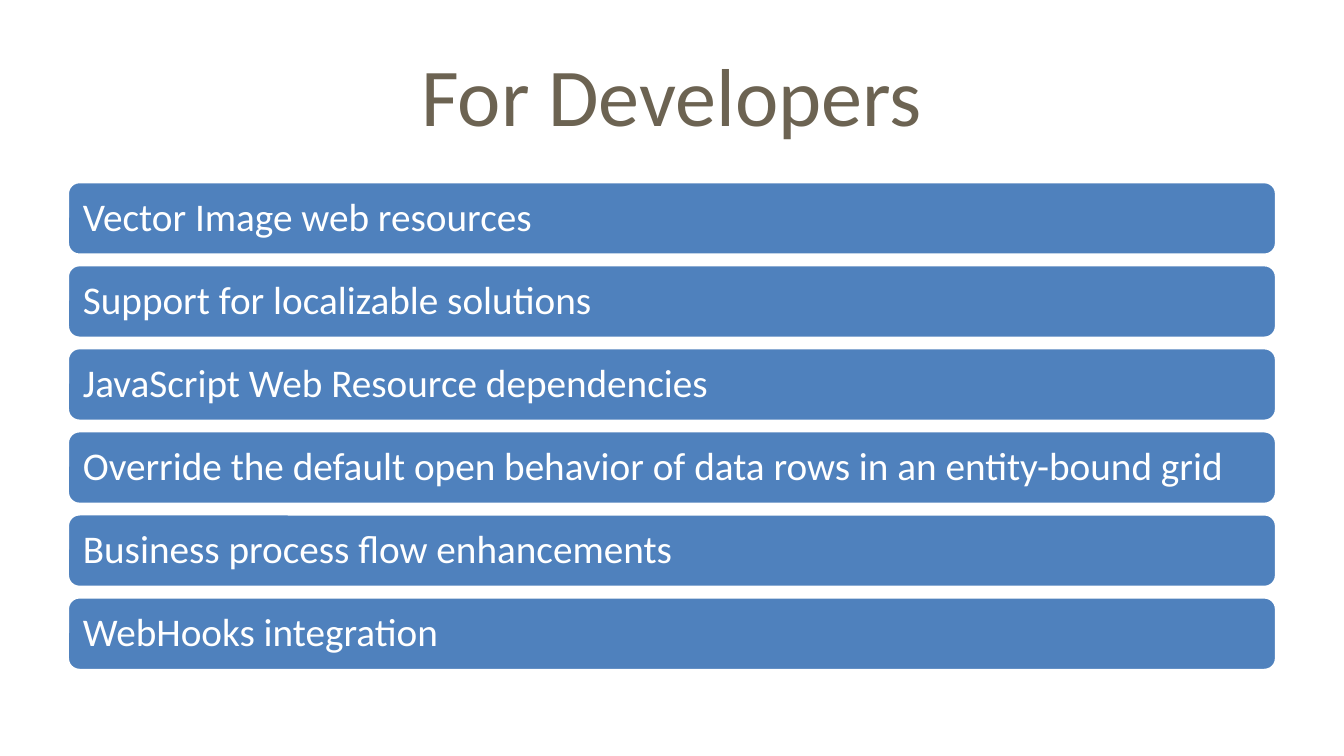
from dataclasses import dataclass

from pptx import Presentation
from pptx.dml.color import RGBColor
from pptx.enum.shapes import MSO_SHAPE as Shape
from pptx.enum.text import MSO_ANCHOR as Anchor, PP_ALIGN as Align
from pptx.slide import Slide
from pptx.text.text import TextFrame
from pptx.util import Inches, Pt


@dataclass(frozen=True)
class Theme:
    font: str = "Calibri"
    title_color: RGBColor = RGBColor(0x6C, 0x63, 0x52)
    bar_color: RGBColor = RGBColor(0x4F, 0x81, 0xBD)
    white: RGBColor = RGBColor(0xFF, 0xFF, 0xFF)
    title_size: int = 44
    bar_size: int = 21
    outline: int = 2


@dataclass(frozen=True)
class TopicBar:
    text: str
    top: float


THEME = Theme()
SLIDE_WIDTH = 10
LEFT, WIDTH, BAR_HEIGHT = 0.5, 9, 0.55
FIRST_TOP, LAST_TOP = 1.35, 4.44
BAR_INSET = 0.09
TOPICS = (
    "Vector Image web resources",
    "Support for localizable solutions",
    "JavaScript Web Resource dependencies",
    "Override the default open behavior of data rows in an entity-bound grid",
    "Business process flow enhancements",
    "WebHooks integration",
)


def write_text(frame: TextFrame, text: str, *, size: int, color: RGBColor,
               align: Align, line_spacing: float = 1.0) -> None:
    frame.text = text
    frame.word_wrap = True
    frame.vertical_anchor = Anchor.MIDDLE
    paragraph = frame.paragraphs[0]
    paragraph.alignment = align
    paragraph.line_spacing = line_spacing
    font = paragraph.runs[0].font
    font.name = THEME.font
    font.size = Pt(size)
    font.color.rgb = color


def add_title(slide: Slide, text: str) -> None:
    title = slide.shapes.title
    title.left, title.top = Inches(LEFT), Inches(0.23)
    title.width, title.height = Inches(WIDTH), Inches(0.94)
    write_text(title.text_frame, text, size=THEME.title_size,
               color=THEME.title_color, align=Align.CENTER)


def add_topic_bar(slide: Slide, bar: TopicBar) -> None:
    shape = slide.shapes.add_shape(
        Shape.ROUNDED_RECTANGLE, Inches(LEFT), Inches(bar.top),
        Inches(WIDTH), Inches(BAR_HEIGHT))
    shape.shadow.inherit = False
    shape.fill.solid()
    shape.fill.fore_color.rgb = THEME.bar_color
    shape.line.color.rgb = THEME.white
    shape.line.width = Pt(THEME.outline)
    frame = shape.text_frame
    frame.margin_left = frame.margin_right = Inches(BAR_INSET)
    frame.margin_top = frame.margin_bottom = Inches(BAR_INSET)
    write_text(frame, bar.text, size=THEME.bar_size, color=THEME.white,
               align=Align.LEFT, line_spacing=0.9)


def main() -> None:
    presentation = Presentation()
    presentation.slide_width = Inches(SLIDE_WIDTH)
    presentation.slide_height = Inches(SLIDE_WIDTH * 9 / 16)
    slide = presentation.slides.add_slide(presentation.slide_layouts[5])
    add_title(slide, "For Developers")
    pitch = (LAST_TOP - FIRST_TOP) / (len(TOPICS) - 1)
    for index, topic in enumerate(TOPICS):
        add_topic_bar(slide, TopicBar(topic, FIRST_TOP + index * pitch))
    presentation.save("out.pptx")


if __name__ == "__main__":
    main()
